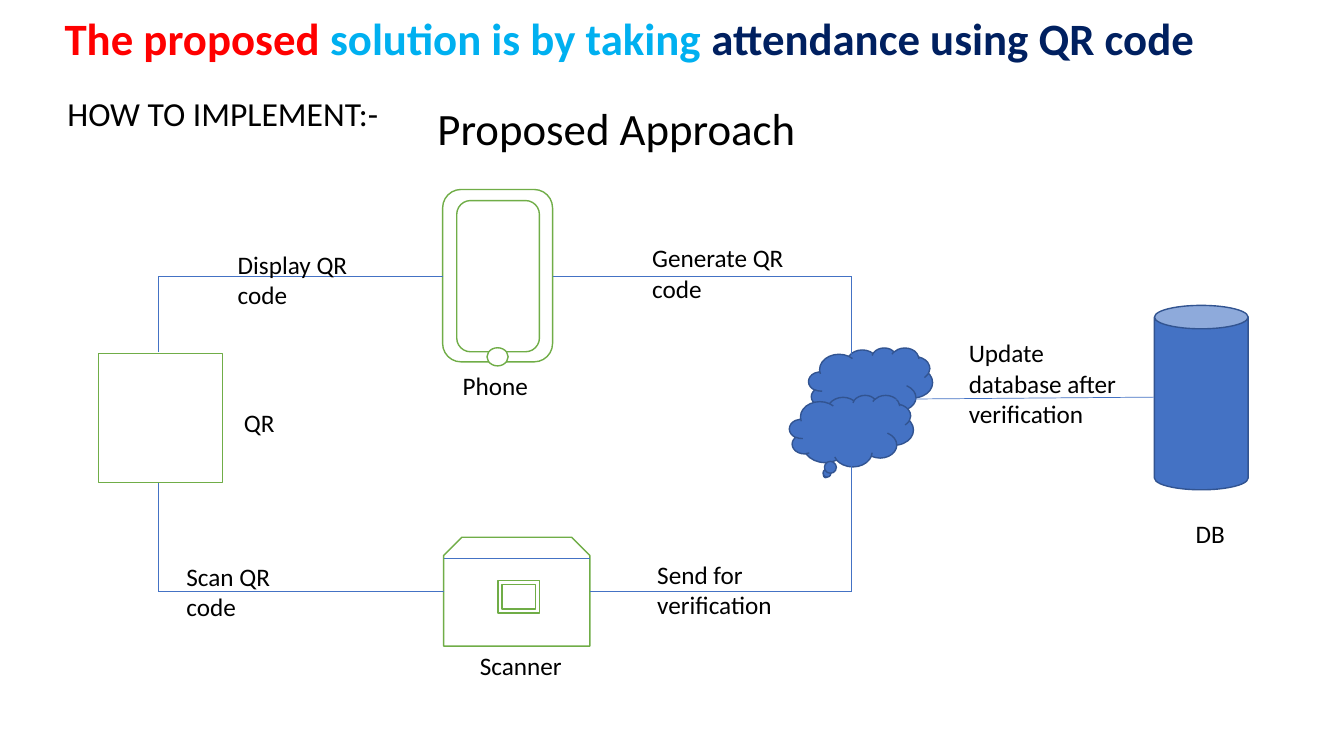
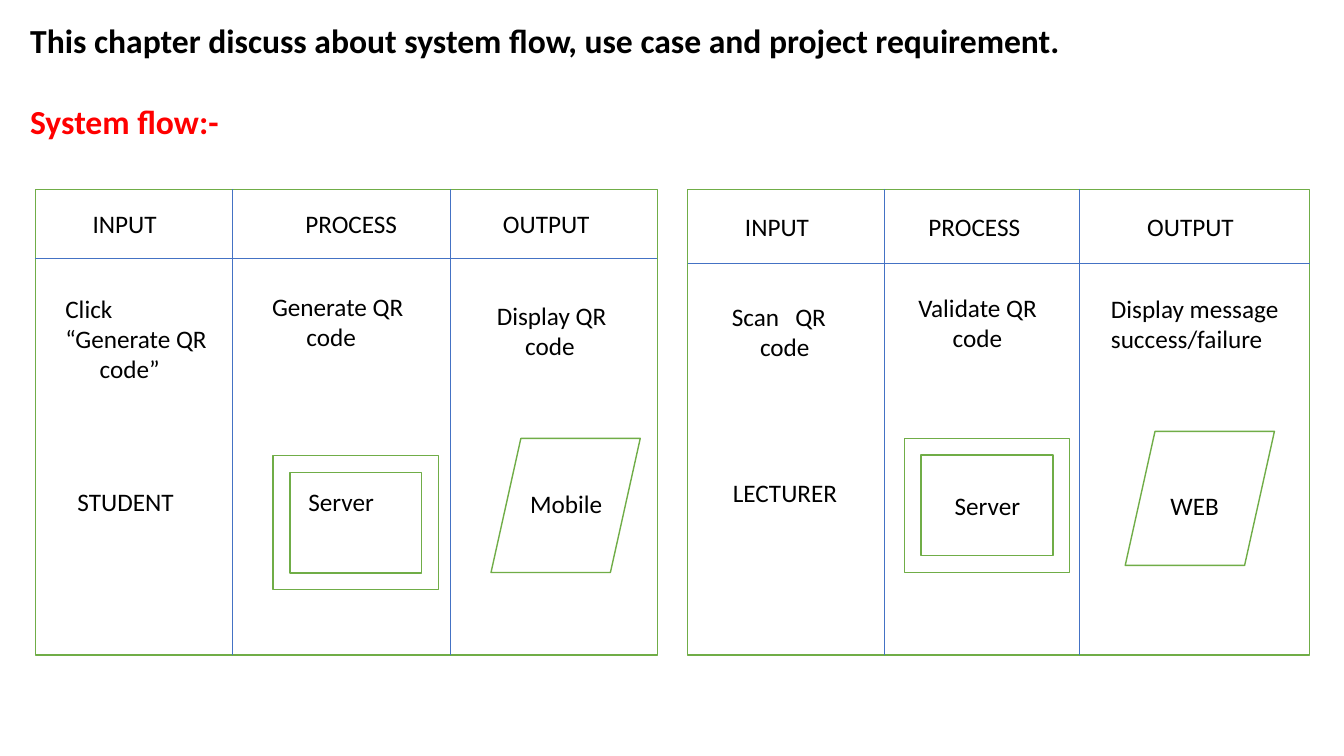
import pptx
import pptx.dml.color
import pptx.enum.shapes
import pptx.enum.text
import pptx.oxml.ns
import pptx.util
from lxml import etree

Inches = pptx.util.Inches
Pt = pptx.util.Pt
RGBColor = pptx.dml.color.RGBColor
SHAPE = pptx.enum.shapes.MSO_SHAPE
qn = pptx.oxml.ns.qn

FONT = "Calibri"
BLACK = RGBColor(0x00, 0x00, 0x00)
WHITE = RGBColor(0xFF, 0xFF, 0xFF)
RED = RGBColor(0xFF, 0x00, 0x00)
SKY = RGBColor(0x00, 0xB0, 0xF0)
NAVY = RGBColor(0x00, 0x20, 0x60)
GREEN = RGBColor(0x70, 0xAD, 0x47)
BLUE = RGBColor(0x44, 0x72, 0xC4)
DARK_BLUE = RGBColor(0x32, 0x54, 0x91)


# Shared helpers
def add_span(para, text, size=18, color=BLACK, bold=False):
    span = para.add_run()
    span.text = text
    span.font.name = FONT
    span.font.size = Pt(size)
    span.font.bold = bold
    span.font.color.rgb = color


def add_text(page, left, top, width, lines, size=18, color=BLACK, bold=False,
             indent=0, tab=None):
    """Text box; lines after the first are indented, tab sets a stop in the first."""
    height = len(lines) * size / 60 + 0.1
    box = page.shapes.add_textbox(Inches(left), Inches(top), Inches(width), Inches(height))
    frame = box.text_frame
    frame.word_wrap = True
    for index, line in enumerate(lines):
        para = frame.paragraphs[0] if index == 0 else frame.add_paragraph()
        properties = para._p.get_or_add_pPr()
        if index and indent:
            properties.set("marL", str(Inches(indent)))
        if index == 0 and tab:
            stops = etree.SubElement(properties, qn("a:tabLst"))
            etree.SubElement(stops, qn("a:tab"), pos=str(Inches(tab)), algn="l")
        add_span(para, line, size, color, bold)


def add_title(page, left, top, width, height, spans, size):
    title = page.shapes.title
    title.left, title.top = Inches(left), Inches(top)
    title.width, title.height = Inches(width), Inches(height)
    frame = title.text_frame
    frame.auto_size = pptx.enum.text.MSO_AUTO_SIZE.NONE
    frame.vertical_anchor = pptx.enum.text.MSO_ANCHOR.TOP
    frame.word_wrap = True
    para = frame.paragraphs[0]
    para.alignment = pptx.enum.text.PP_ALIGN.LEFT
    for text, color in spans:
        add_span(para, text, size, color, bold=True)


def add_shape(page, kind, left, top, width, height, fill=WHITE, line=GREEN):
    shape = page.shapes.add_shape(kind, Inches(left), Inches(top), Inches(width), Inches(height))
    shape.shadow.inherit = False
    shape.fill.solid()
    shape.fill.fore_color.rgb = fill
    shape.line.color.rgb = line
    shape.line.width = Pt(1)
    return shape


def add_line(page, x1, y1, x2, y2):
    line = page.shapes.add_connector(pptx.enum.shapes.MSO_CONNECTOR.STRAIGHT,
                                     Inches(x1), Inches(y1), Inches(x2), Inches(y2))
    line.line.color.rgb = BLUE
    line.line.width = Pt(0.5)
    etree.SubElement(line._element.spPr, qn("a:effectLst"))


# Parts of the approach diagram
def draw_phone(page, left, top):
    add_shape(page, SHAPE.ROUNDED_RECTANGLE, left, top, 1.09, 1.71)
    add_shape(page, SHAPE.ROUNDED_RECTANGLE, left + 0.14, top + 0.11, 0.82, 1.5)
    add_shape(page, SHAPE.OVAL, left + 0.44, top + 1.57, 0.21, 0.18)


def draw_scanner(page, left, top):
    add_shape(page, SHAPE.SNIP_2_SAME_RECTANGLE, left, top, 1.45, 1.08)
    add_line(page, left, top + 0.21, left + 1.45, top + 0.21)
    add_shape(page, SHAPE.FRAME, left + 0.54, top + 0.43, 0.41, 0.32)


def draw_clouds(page, left, top):
    for dx, dy in ((0.19, 0), (0, 0.47)):
        add_shape(page, SHAPE.CLOUD_CALLOUT, left + dx, top + dy, 1.23, 0.71, BLUE, DARK_BLUE)


def draw_diagram(page, left, top):
    draw_phone(page, left + 3.41, top)
    draw_scanner(page, left + 3.42, top + 3.45)
    draw_clouds(page, left + 6.85, top + 1.57)
    add_shape(page, SHAPE.CAN, left + 10.47, top + 1.15, 0.93, 1.83, BLUE, DARK_BLUE)
    add_shape(page, SHAPE.RECTANGLE, left, top + 1.63, 1.23, 1.28)

    # Connections: upper loop, lower loop, database
    upper, lower, tile_x, cloud_x = 0.86, 3.99, 0.59, 7.46
    for x1, y1, x2, y2 in (
        (3.41, upper, tile_x, upper),
        (tile_x, 1.61, tile_x, upper),
        (4.5, upper, cloud_x, upper),
        (cloud_x, upper, cloud_x, 1.63),
        (cloud_x, lower, 4.87, lower),
        (3.42, lower, tile_x, lower),
        (tile_x, lower, tile_x, 2.91),
        (cloud_x, 2.74, cloud_x, lower),
        (7.89, 2.08, 10.47, 2.06),
    ):
        add_line(page, left + x1, top + y1, left + x2, top + y2)

    # Labels
    for x, y, width, lines in (
        (1.28, 0.54, 1.94, ["Display QR", "code"]),
        (5.39, 0.48, 1.86, ["Generate QR code"]),
        (8.53, 1.42, 1.68, ["Update database after verification"]),
        (3.68, 4.52, 2.38, ["Scanner"]),
        (1.34, 2.11, 2.38, ["QR"]),
        (0.77, 3.64, 2.38, ["Scan QR", "code"]),
        (5.44, 3.62, 2.38, ["Send for", "verification"]),
        (10.78, 3.21, 1.2, ["DB"]),
        (3.51, 1.74, 2.38, ["Phone"]),
    ):
        add_text(page, left + x, top + y, width, lines)


# One input / process / output panel
def draw_panel(page, left, top, panel):
    width, height = 6.17, 4.62
    add_shape(page, SHAPE.RECTANGLE, left, top, width, height)
    for x in panel["dividers"]:
        add_line(page, left + x, top, left + x, top + height)
    add_line(page, left, top + panel["header"], left + width, top + panel["header"])

    x, y = panel["server"]
    add_shape(page, SHAPE.FRAME, left + x, top + y, 1.64, 1.33)
    x, y = panel["device"]
    add_shape(page, SHAPE.FLOWCHART_DATA, left + x, top + y, 1.48, 1.33)

    for x, heading in zip(panel["heading_x"], ("INPUT", "PROCESS", "OUTPUT")):
        add_text(page, left + x, top + panel["heading_y"], 1.71, [heading])
    for x, y, text_width, lines, indent, tab in panel["actions"]:
        add_text(page, left + x, top + y, text_width, lines, indent=indent, tab=tab)
    for x, y, name in panel["actors"]:
        add_text(page, left + x, top + y, 1.45, [name])


GENERATE_PANEL = {
    "dividers": (1.95, 4.12),
    "header": 0.68,
    "heading_x": (0.47, 2.58, 4.54),
    "heading_y": 0.14,
    "server": (2.36, 2.64),
    "device": (4.52, 2.47),
    "actions": (
        (0.2, 0.98, 1.64, ["Click “Generate QR", "code”"], 0.34, None),
        (2.25, 0.96, 1.64, ["Generate QR", "code"], 0.34, None),
        (4.48, 1.05, 1.64, ["Display QR", "code"], 0.28, None),
    ),
    "actors": ((0.32, 2.9, "STUDENT"), (2.61, 2.9, "Server"), (4.81, 2.92, "Mobile")),
}
VALIDATE_PANEL = {
    "dividers": (1.95, 3.89),
    "header": 0.73,
    "heading_x": (0.47, 2.29, 4.46),
    "heading_y": 0.17,
    "server": (2.15, 2.47),
    "device": (4.34, 2.4),
    "actions": (
        (0.34, 1.06, 1.64, ["Scan\tQR", "code"], 0.28, 0.63),
        (2.19, 0.97, 1.64, ["Validate QR", "code"], 0.34, None),
        (4.1, 0.98, 2, ["Display message", "success/failure"], 0, None),
    ),
    "actors": ((0.35, 2.81, "LECTURER"), (2.55, 2.94, "Server"), (4.69, 2.94, "WEB")),
}


# Slides
def build_approach(page):
    add_title(page, 0.54, 0.06, 12.5, 0.64,
              (("The proposed ", RED), ("solution is by taking ", SKY),
               ("attendance using QR code", NAVY)), 32)
    add_text(page, 0.57, 0.87, 3.6, ["HOW TO IMPLEMENT:-"], 24)
    add_text(page, 4.24, 0.95, 6.97, ["Proposed Approach"], 32)
    draw_diagram(page, 0.98, 1.88)


def build_system_flow(page):
    add_title(page, 0.2, 0.15, 13.02, 0.5,
              (("This chapter discuss about system flow, use case and project requirement.",
                BLACK),), 24)
    add_text(page, 0.2, 0.95, 13.02, ["System flow:-"], 24, RED, bold=True)
    for left, panel in ((0.35, GENERATE_PANEL), (6.82, VALIDATE_PANEL)):
        draw_panel(page, left, 1.88, panel)


def main():
    deck = pptx.Presentation()
    deck.slide_width = Inches(13.33)
    deck.slide_height = Inches(7.5)
    title_only = deck.slide_layouts[5]
    for build in (build_approach, build_system_flow):
        build(deck.slides.add_slide(title_only))
    deck.save("out.pptx")


if __name__ == "__main__":
    main()
